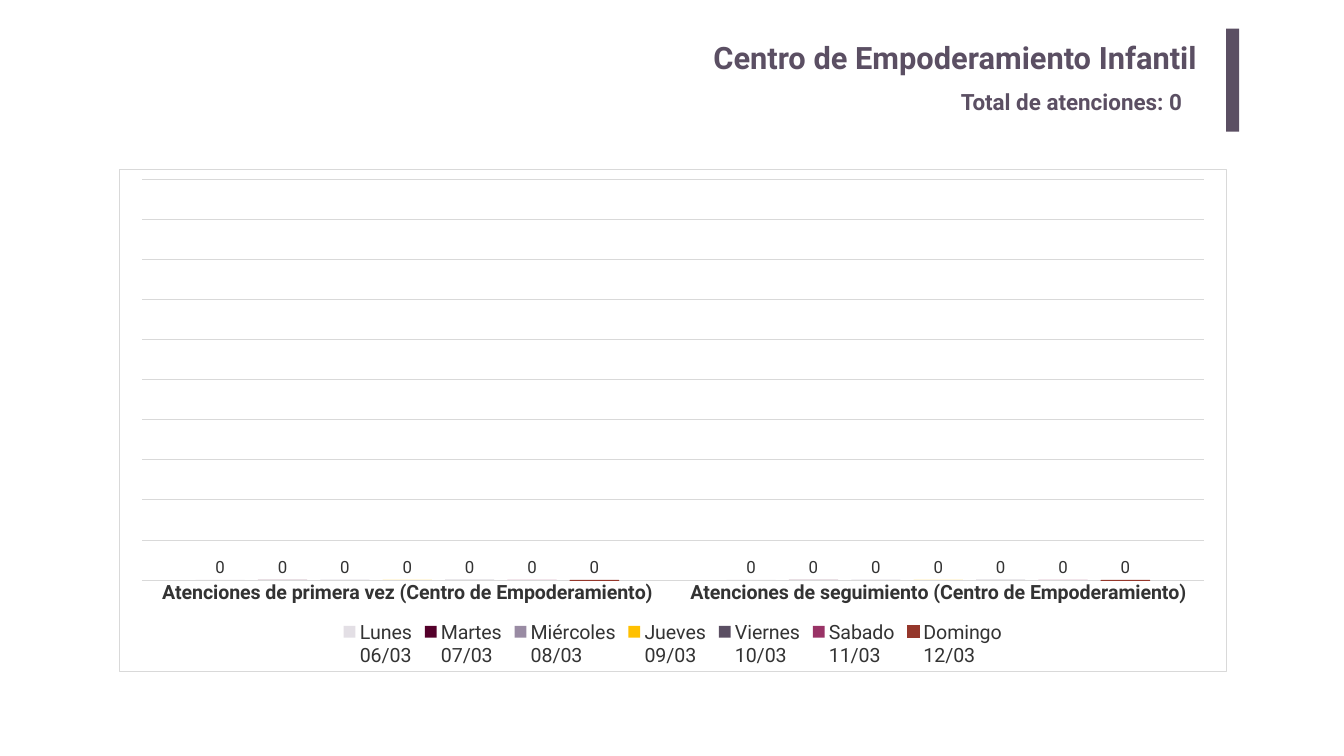
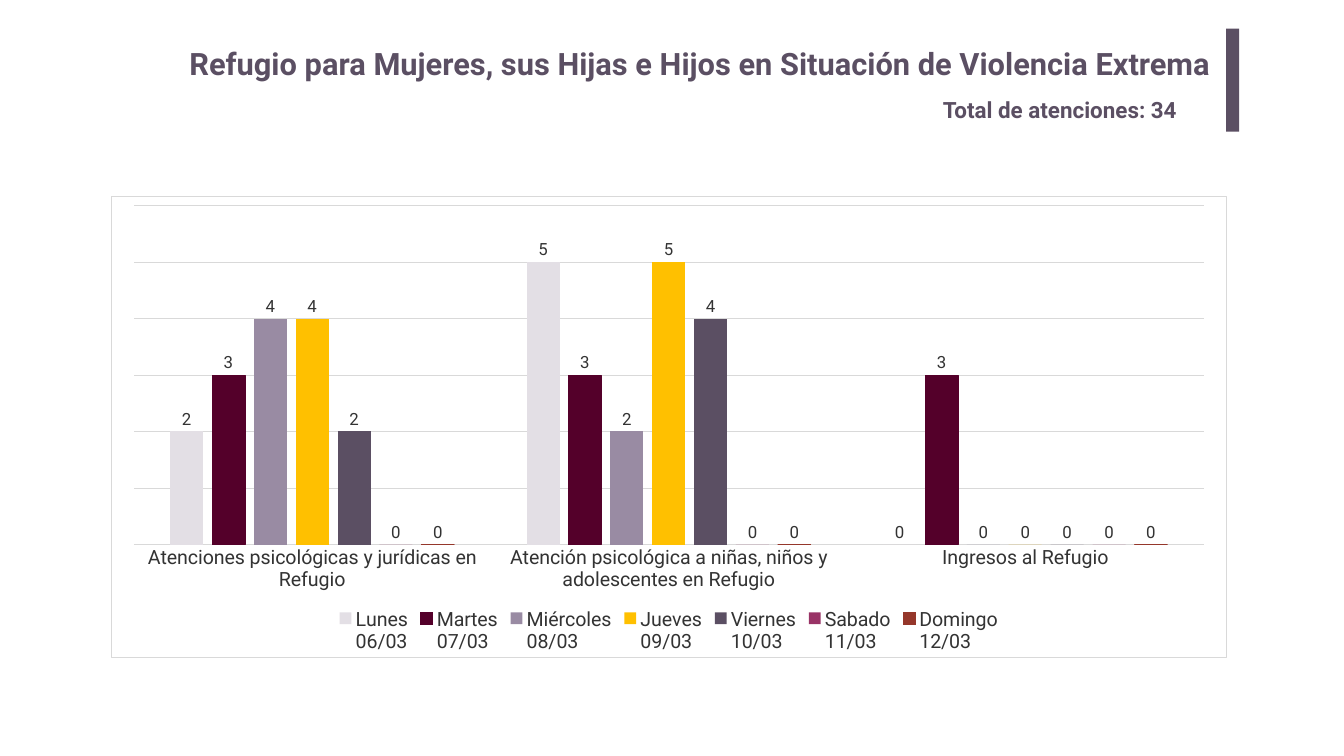
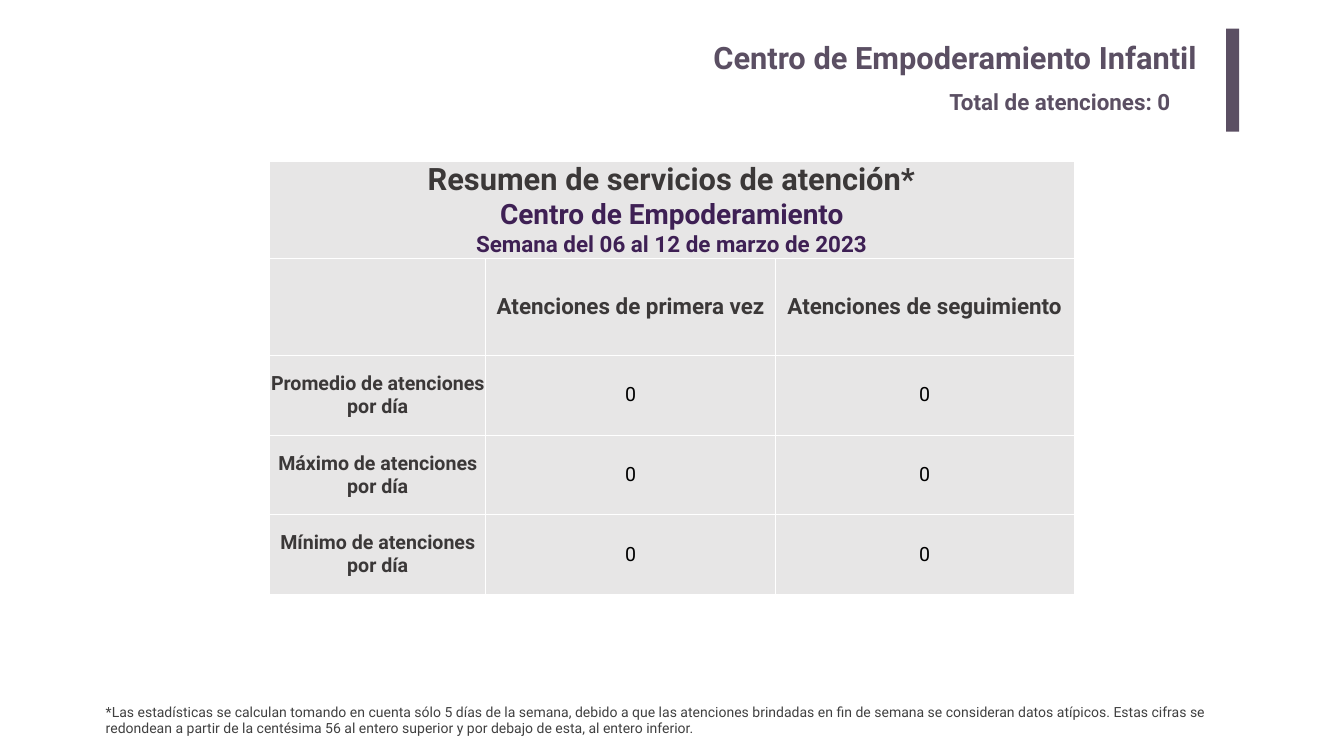
from lxml import etree
from pptx import Presentation
from pptx.chart.data import CategoryChartData
from pptx.dml.color import RGBColor
from pptx.enum.chart import XL_CHART_TYPE, XL_LABEL_POSITION, XL_LEGEND_POSITION, XL_TICK_MARK
from pptx.enum.shapes import MSO_SHAPE
from pptx.enum.text import MSO_ANCHOR, MSO_AUTO_SIZE, PP_ALIGN
from pptx.oxml import parse_xml
from pptx.oxml.ns import nsdecls, qn
from pptx.util import Inches, Pt

RECTANGLE = MSO_SHAPE.RECTANGLE
COLUMN_CLUSTERED = XL_CHART_TYPE.COLUMN_CLUSTERED
OUTSIDE_END = XL_LABEL_POSITION.OUTSIDE_END
LEGEND_BOTTOM = XL_LEGEND_POSITION.BOTTOM
NO_TICK = XL_TICK_MARK.NONE
MIDDLE = MSO_ANCHOR.MIDDLE
FIT_TEXT = MSO_AUTO_SIZE.SHAPE_TO_FIT_TEXT
LEFT, CENTER, RIGHT = PP_ALIGN.LEFT, PP_ALIGN.CENTER, PP_ALIGN.RIGHT

FONT = "Roboto"
PURPLE = RGBColor(0x5B, 0x4F, 0x63)
DEEP_PURPLE = RGBColor(0x3E, 0x20, 0x54)
CHART_TEXT = RGBColor(0x33, 0x33, 0x33)
TABLE_TEXT = RGBColor(0x3B, 0x38, 0x38)
NOTE_TEXT = RGBColor(0x40, 0x40, 0x40)
BLACK = RGBColor(0x00, 0x00, 0x00)
GRID = RGBColor(0xD9, 0xD9, 0xD9)
CELL_FILL = RGBColor(0xE7, 0xE6, 0xE6)
WHITE = RGBColor(0xFF, 0xFF, 0xFF)
WINE = RGBColor(0x54, 0x00, 0x2A)
BRICK = RGBColor(0x95, 0x37, 0x2B)

DAYS = [
    ("Lunes\n06/03", RGBColor(0xE3, 0xDF, 0xE5)),
    ("Martes\n07/03", WINE),
    ("Miércoles\n08/03", RGBColor(0x99, 0x8B, 0xA3)),
    ("Jueves\n09/03", RGBColor(0xFF, 0xC0, 0x00)),
    ("Viernes\n10/03", PURPLE),
    ("Sabado\n11/03", RGBColor(0x99, 0x33, 0x66)),
    ("Domingo\n12/03", BRICK),
]

CENTRO = "Centro de Empoderamiento Infantil"
REFUGIO = "Refugio para Mujeres, sus Hijas e Hijos en Situación de Violencia Extrema"
CENTRO_TITLE = (CENTRO, (3.66, 0.67, 20.3, 1.02), RIGHT, 0.2)
REFUGIO_TITLE = (REFUGIO, (3.66, 0.84, 20.73, 0.84), LEFT, 0.1)

HEADERS = [
    (CENTRO_TITLE, "Total de atenciones: 0", (18.97, 1.69, 5.05, 0.64)),
    (REFUGIO_TITLE, "Total de atenciones: 34", (18.61, 1.85, 5.35, 0.64)),
    (CENTRO_TITLE, "Total de atenciones: 0", (18.74, 1.69, 5.28, 0.64)),
]

CHARTS = [
    {
        "box": (2.37, 3.35, 21.96, 9.97),
        "categories": [
            "Atenciones de primera vez (Centro de Empoderamiento)",
            "Atenciones de seguimiento (Centro de Empoderamiento)",
        ],
        "values": [(0, 0)] * 7,
        "maximum": 1,
        "step": 0.1,
        "bold": True,
        "outlined": [BRICK],
    },
    {
        "box": (2.21, 3.89, 22.12, 9.16),
        "categories": [
            "Atenciones psicológicas y jurídicas en Refugio",
            "Atención psicológica a niñas, niños y adolescentes en Refugio",
            "Ingresos al Refugio",
        ],
        "values": [(2, 5, 0), (3, 3, 3), (4, 2, 0), (4, 5, 0), (2, 4, 0), (0, 0, 0), (0, 0, 0)],
        "maximum": 6,
        "step": 1,
        "bold": False,
        "outlined": [WINE, BRICK],
    },
]


def set_font(font, size, color, bold=False):
    font.name = FONT
    font.size = Pt(size)
    font.bold = bold
    font.color.rgb = color


def add_text(slide, box, text, size, color, bold=False, align=LEFT, margin=0.1):
    shape = slide.shapes.add_textbox(*map(Inches, box))
    text_frame = shape.text_frame
    text_frame.word_wrap = True
    text_frame.margin_left = text_frame.margin_right = Inches(margin)
    text_frame.margin_top = text_frame.margin_bottom = Inches(margin / 2)
    text_frame.text = text
    paragraph = text_frame.paragraphs[0]
    paragraph.alignment = align
    set_font(paragraph.runs[0].font, size, color, bold)
    return shape


presentation = Presentation()
presentation.slide_width = Inches(26.67)
presentation.slide_height = Inches(15)

slides = []
for (title, title_box, align, margin), total, total_box in HEADERS:
    slide = presentation.slides.add_slide(presentation.slide_layouts[6])
    slides.append(slide)
    add_text(slide, title_box, title, 44, PURPLE, True, align, margin)
    bar = slide.shapes.add_shape(RECTANGLE, Inches(24.33), Inches(0.57), Inches(0.26), Inches(2.04))
    bar.shadow.inherit = False
    bar.fill.solid()
    bar.fill.fore_color.rgb = PURPLE
    bar.line.fill.background()
    total_shape = add_text(slide, total_box, total, 32, PURPLE, True)
    total_shape.text_frame.auto_size = FIT_TEXT

for slide, content in zip(slides, CHARTS):
    chart_data = CategoryChartData()
    chart_data.categories = content["categories"]
    for (day, color), values in zip(DAYS, content["values"]):
        chart_data.add_series(day, values)
    frame = slide.shapes.add_chart(COLUMN_CLUSTERED, *map(Inches, content["box"]), chart_data)
    chart = frame.chart
    set_font(chart.font, 10, BLACK)
    chart.has_title = False
    chart.has_legend = True
    chart.legend.position = LEGEND_BOTTOM
    chart.legend.include_in_layout = False
    set_font(chart.legend.font, 28, CHART_TEXT)

    category_axis = chart.category_axis
    category_axis.major_tick_mark = NO_TICK
    category_axis.minor_tick_mark = NO_TICK
    category_axis.format.line.color.rgb = GRID
    category_axis.format.line.width = Pt(0.75)
    set_font(category_axis.tick_labels.font, 28, CHART_TEXT, content["bold"])

    value_axis = chart.value_axis
    value_axis.visible = False
    value_axis.minimum_scale = 0
    value_axis.maximum_scale = content["maximum"]
    value_axis.major_unit = content["step"]
    value_axis.has_major_gridlines = True
    value_axis.major_gridlines.format.line.color.rgb = GRID
    value_axis.major_gridlines.format.line.width = Pt(0.75)

    plot = chart.plots[0]
    plot.gap_width = 219
    plot.overlap = -27
    plot.vary_by_categories = False
    for series, (day, color) in zip(plot.series, DAYS):
        series.format.fill.solid()
        series.format.fill.fore_color.rgb = color
        if color in content["outlined"]:
            series.format.line.color.rgb = color
            series.format.line.width = Pt(0.75)
        labels = series.data_labels
        labels.show_value = True
        labels.position = OUTSIDE_END
        set_font(labels.font, 24, CHART_TEXT)

    chart.element.find(qn("c:chart")).addnext(parse_xml(
        f'<c:spPr {nsdecls("c", "a")}>'
        f'<a:solidFill><a:srgbClr val="{WHITE}"/></a:solidFill>'
        f'<a:ln w="{Pt(0.75)}"><a:solidFill><a:srgbClr val="{GRID}"/></a:solidFill></a:ln>'
        '</c:spPr>'))

HEADING = [
    ("Resumen de servicios de atención*", 44, TABLE_TEXT),
    ("Centro de Empoderamiento", 40, DEEP_PURPLE),
    ("Semana del 06 al 12 de marzo de 2023", 32, DEEP_PURPLE),
]
ROWS = [
    ["\n".join(line for line, size, color in HEADING), "", ""],
    ["", "Atenciones de primera vez", "Atenciones de seguimiento"],
]
ROWS += [[f"{measure} de atenciones por día", "0", "0"] for measure in ("Promedio", "Máximo", "Mínimo")]
COLUMN_WIDTHS = [4.29, 5.75, 5.92]
ROW_HEIGHTS = [1.92] * 2 + [1.58] * 3

summary_slide = slides[2]
table = summary_slide.shapes.add_table(
    len(ROWS), len(COLUMN_WIDTHS), Inches(5.35), Inches(3.2),
    Inches(sum(COLUMN_WIDTHS)), Inches(sum(ROW_HEIGHTS))).table
table.first_row = False
table.horz_banding = False
for column, width in zip(table.columns, COLUMN_WIDTHS):
    column.width = Inches(width)
for row, height in zip(table.rows, ROW_HEIGHTS):
    row.height = Inches(height)
table.cell(0, 0).merge(table.cell(0, 2))

for row_index, row in enumerate(ROWS):
    for column_index, text in enumerate(row):
        cell = table.cell(row_index, column_index)
        cell.vertical_anchor = MIDDLE
        cell.margin_left = cell.margin_right = cell.margin_top = cell.margin_bottom = 0
        cell.fill.solid()
        cell.fill.fore_color.rgb = CELL_FILL
        properties = cell._tc.get_or_add_tcPr()
        for position, side in enumerate(("lnL", "lnR", "lnT", "lnB")):
            border = etree.Element(qn(f"a:{side}"), w=str(Pt(1)))
            fill = etree.SubElement(border, qn("a:solidFill"))
            etree.SubElement(fill, qn("a:srgbClr"), val=str(WHITE))
            properties.insert(position, border)
        if not text:
            continue
        cell.text_frame.text = text
        is_value = row_index > 1 and column_index > 0
        styles = [(text, 32 if row_index == 1 else 28, BLACK if is_value else TABLE_TEXT)]
        if row_index == 0:
            styles = HEADING
        for paragraph, (line, size, color) in zip(cell.text_frame.paragraphs, styles):
            paragraph.alignment = CENTER
            set_font(paragraph.runs[0].font, size, color, not is_value)

note = add_text(
    summary_slide, (2, 13.9, 22.33, 0.77),
    "*Las estadísticas se calculan tomando en cuenta sólo 5 días de la semana, debido a que las "
    "atenciones brindadas en fin de semana se consideran datos atípicos. Estas cifras se redondean "
    "a partir de la centésima 56 al entero superior y por debajo de esta, al entero inferior.",
    20, NOTE_TEXT)
note.text_frame.auto_size = FIT_TEXT

presentation.save("out.pptx")
